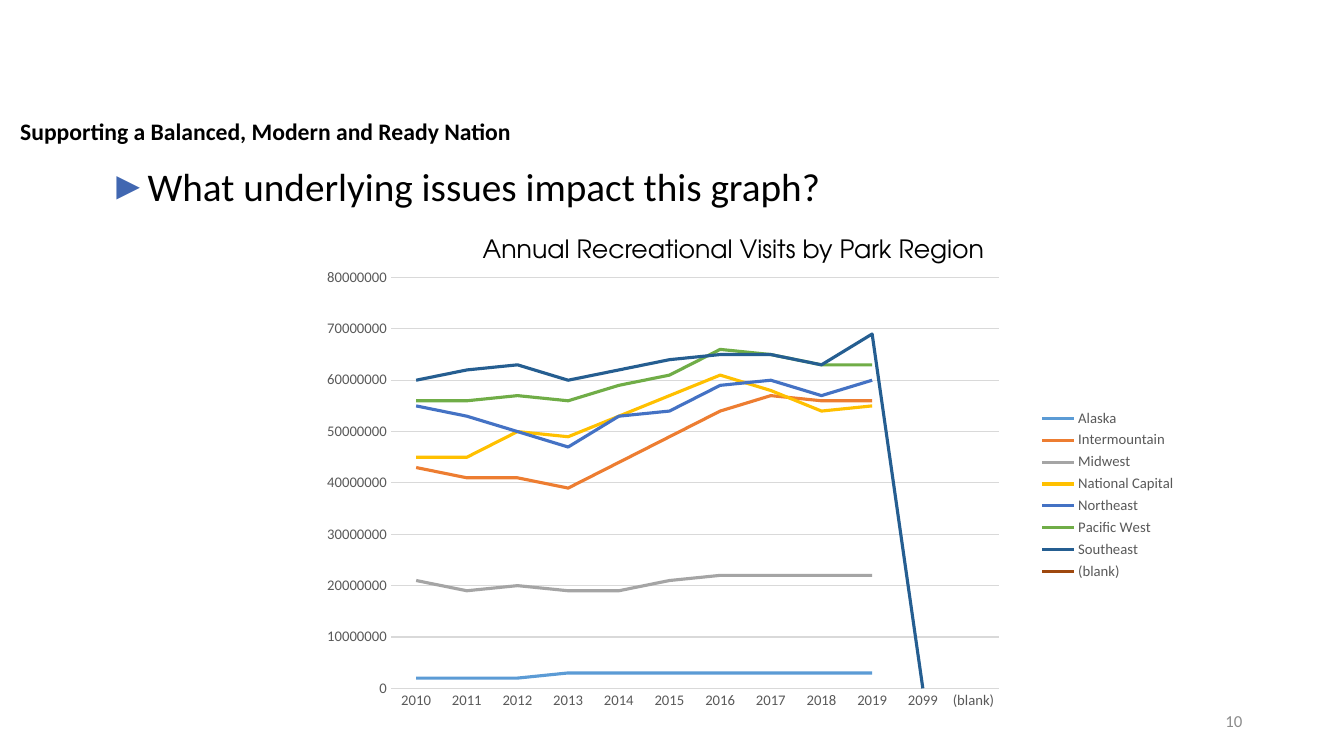
from lxml.etree import SubElement
from pptx import Presentation
from pptx.chart.data import CategoryChartData
from pptx.dml.color import RGBColor
from pptx.enum.chart import XL_CHART_TYPE, XL_LEGEND_POSITION, XL_TICK_MARK
from pptx.enum.text import MSO_ANCHOR, MSO_AUTO_SIZE, PP_ALIGN
from pptx.oxml.ns import qn
from pptx.util import Inches, Pt


def hue(code):
    return RGBColor.from_string(code)


def style(font, size, code, face="Calibri", bold=False):
    font.size = Pt(size)
    font.name = face
    font.bold = bold
    font.color.rgb = hue(code)


deck = Presentation()
deck.slide_width = Inches(13.33)
deck.slide_height = Inches(7.5)
col = deck.slide_width / 100
row = deck.slide_height / 100

slide = deck.slides.add_slide(deck.slide_layouts[1])
head = slide.shapes.title.element
head.getparent().remove(head)

body = slide.placeholders[1]
body.left, body.top = int(7.35 * col), int(21.47 * row)
body.width, body.height = int(70.59 * col), int(65.87 * row)
frame = body.text_frame
frame.auto_size = MSO_AUTO_SIZE.NONE
para = frame.paragraphs[0]
para.line_spacing = 0.9
para.space_before = Pt(0)
props = para._p.get_or_add_pPr()
props.set("marL", str(Inches(0.25)))
props.set("indent", str(-Inches(0.25)))
tint = SubElement(props, qn("a:buClr"))
SubElement(tint, qn("a:srgbClr")).set("val", "4167B1")
SubElement(props, qn("a:buFont")).set("typeface", "Arial")
SubElement(props, qn("a:buChar")).set("char", "►")
run = para.add_run()
run.text = "What underlying issues impact this graph?"
style(run.font, 28, "000000")

years = [str(year) for year in range(2010, 2020)] + ["2099", "(blank)"]
parks = [
    ("Alaska", "5B9BD5", [2, 2, 2, 3, 3, 3, 3, 3, 3, 3]),
    ("Intermountain", "ED7D31", [43, 41, 41, 39, 44, 49, 54, 57, 56, 56]),
    ("Midwest", "A5A5A5", [21, 19, 20, 19, 19, 21, 22, 22, 22, 22]),
    ("National Capital", "FFC000", [45, 45, 50, 49, 53, 57, 61, 58, 54, 55]),
    ("Northeast", "4472C4", [55, 53, 50, 47, 53, 54, 59, 60, 57, 60]),
    ("Pacific West", "70AD47", [56, 56, 57, 56, 59, 61, 66, 65, 63, 63]),
    ("Southeast", "255E91", [60, 62, 63, 60, 62, 64, 65, 65, 63, 69, 0]),
    ("(blank)", "9E480E", []),
]
data = CategoryChartData()
data.categories = years
for name, code, visits in parks:
    gaps = [None] * (len(years) - len(visits))
    data.add_series(name, [visit * 1000000 for visit in visits] + gaps)

chart = slide.shapes.add_chart(
    XL_CHART_TYPE.LINE, int(22.06 * col), int(35.2 * row),
    int(66.24 * col), int(60.53 * row), data).chart
style(chart.font, 10.5, "000000")
chart.has_title = False
chart.has_legend = True
chart.legend.position = XL_LEGEND_POSITION.RIGHT
chart.legend.include_in_layout = False
style(chart.legend.font, 10.5, "595959")

plot = chart.plots[0]
plot.vary_by_categories = False
for line, (name, code, visits) in zip(plot.series, parks):
    line.smooth = False
    line.format.line.width = Pt(2.25)
    line.format.line.color.rgb = hue(code)

for axis in (chart.category_axis, chart.value_axis):
    axis.major_tick_mark = XL_TICK_MARK.NONE
    axis.minor_tick_mark = XL_TICK_MARK.NONE
    style(axis.tick_labels.font, 10.5, "595959")
scale = chart.value_axis
scale.minimum_scale = 0
scale.maximum_scale = 80000000
scale.major_unit = 10000000
scale.has_major_gridlines = True
scale.format.line.fill.background()
for rule in (chart.category_axis.format.line, scale.major_gridlines.format.line):
    rule.width = Pt(0.75)
    rule.color.rgb = hue("D9D9D9")

area = chart._chartSpace.chart.plotArea
for old in area.findall(qn("c:layout")):
    area.remove(old)
place = SubElement(area, qn("c:layout"))
area.insert(0, place)
inner = SubElement(place, qn("c:manualLayout"))
for key, value in [("layoutTarget", "inner"), ("xMode", "edge"), ("yMode", "edge"),
                   ("x", "0.106"), ("y", "0.025"), ("w", "0.683"), ("h", "0.898")]:
    SubElement(inner, qn("c:" + key)).set("val", value)

labels = [
    ("Supporting a Balanced, Modern and Ready Nation", (1.2, 14.93, 37.43, 4.8),
     (16.9, "000000", "Calibri", True), 0.04, 0.04, MSO_ANCHOR.MIDDLE, PP_ALIGN.LEFT, False),
    ("10", (70.67, 92.67, 22.5, 5.33),
     (12, "8C8C8C"), 0.1, 0.05, MSO_ANCHOR.MIDDLE, PP_ALIGN.RIGHT, True),
    ("Annual Recreational Visits by Park Region", (35.18, 30.27, 50.04, 5.33),
     (18, "000000", "TeX Gyre Adventor"), 0.1, 0.05, MSO_ANCHOR.TOP, PP_ALIGN.LEFT, True),
]
for words, (left, top, width, height), look, side, edge, anchor, align, wrap in labels:
    box = slide.shapes.add_textbox(
        int(left * col), int(top * row), int(width * col), int(height * row))
    frame = box.text_frame
    frame.word_wrap = wrap
    frame.vertical_anchor = anchor
    frame.margin_left = frame.margin_right = Inches(side)
    frame.margin_top = frame.margin_bottom = Inches(edge)
    para = frame.paragraphs[0]
    para.alignment = align
    run = para.add_run()
    run.text = words
    style(run.font, *look)

deck.save("out.pptx")
